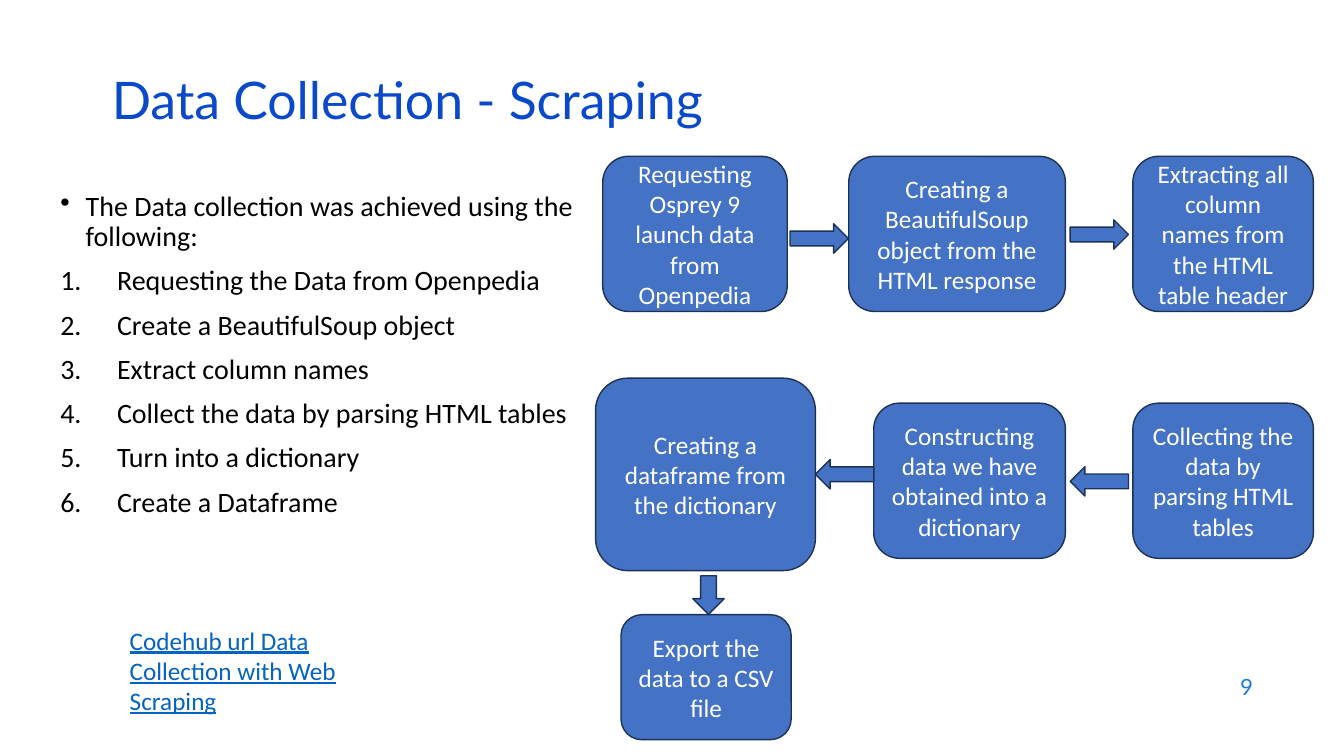
from lxml import etree
from pptx import Presentation, util as u
from pptx.dml.color import RGBColor
from pptx.enum import shapes, text
from pptx.oxml.ns import qn


def color(value):
    return RGBColor.from_string(value)


def write(tf, content, size=18, font="Calibri", fill="000000", align="LEFT",
          anchor="TOP", spacing=None, before=0, underline=None, bullets=()):
    tf.word_wrap = True
    tf.vertical_anchor = getattr(text.MSO_ANCHOR, anchor)
    for i, line in enumerate(content.split("\n")):
        p = tf.paragraphs[0] if i == 0 else tf.add_paragraph()
        if bullets:
            tag, attr, value, indent = bullets[min(i, len(bullets) - 1)]
            pPr = p._p.get_or_add_pPr()
            pPr.set("marL", str(u.Cm(indent)))
            pPr.set("indent", str(-u.Cm(indent)))
            etree.SubElement(pPr, qn(tag)).set(attr, value)
        p.alignment = getattr(text.PP_ALIGN, align)
        p.line_spacing = spacing
        p.space_before = u.Pt(before if i else 0)
        r = p.add_run()
        r.text = line
        r.font.size, r.font.name = u.Pt(size), font
        r.font.color.rgb = color(fill)
        r.font.underline = underline


class Deck:
    """Holds the flowchart style and the current slide."""

    fill, line, ink = "4472C4", "1E3256", "FFFFFF"

    def __init__(self, prs):
        self.s = prs.slides.add_slide(prs.slide_layouts[6])

    def label(self, content, x, y, w, h, **fmt):
        sp = self.s.shapes.add_textbox(u.Cm(x), u.Cm(y), u.Cm(w), u.Cm(h))
        write(sp.text_frame, content, **fmt)

    def shape(self, kind, x, y, w, h):
        sp = self.s.shapes.add_shape(kind, u.Cm(x), u.Cm(y), u.Cm(w), u.Cm(h))
        sp.shadow.inherit = False
        sp.fill.solid()
        sp.fill.fore_color.rgb = color(self.fill)
        sp.line.color.rgb = color(self.line)
        sp.line.width = u.Pt(1)
        return sp

    def step(self, content, x, y, w, h=3.91):
        sp = self.shape(shapes.MSO_SHAPE.ROUNDED_RECTANGLE, x, y, w, h)
        write(sp.text_frame, content, fill=self.ink, align="CENTER", anchor="MIDDLE")

    def arrow(self, x, y, turn=0, w=1.47, h=0.74):
        self.shape(shapes.MSO_SHAPE.RIGHT_ARROW, x, y, w, h).rotation = turn


def main():
    prs = Presentation()
    prs.slide_width, prs.slide_height = u.Cm(33.87), u.Cm(19.05)
    deck = Deck(prs)

    deck.label("9", 24.21, 16.74, 7.62, 1.12, size=16, font="Lato",
               fill="1C7DDB", align="RIGHT", anchor="MIDDLE")
    deck.label("Data Collection - Scraping", 2.57, 1.93, 29.21, 1.52, size=37,
               font="Lato", fill="0B49CB", anchor="MIDDLE", spacing=0.7)
    deck.label("The Data collection was achieved using the following:\n"
               "Requesting the Data from Openpedia\n"
               "Create a BeautifulSoup object\n"
               "Extract column names\n"
               "Collect the data by parsing HTML tables\n"
               "Turn into a dictionary\n"
               "Create a Dataframe",
               1.27, 4.72, 14.38, 10.21, size=20, spacing=0.9, before=10,
               bullets=[("a:buChar", "char", "•", 0.64),
                        ("a:buAutoNum", "type", "arabicPeriod", 1.43)])

    top, middle = 3.94, 10.16
    deck.step("Requesting Osprey 9 launch data from Openpedia", 15.19, top, 4.65)
    deck.step("Creating a BeautifulSoup object from the HTML response", 21.39, top, 5.46)
    deck.step("Extracting all column names from the HTML table header", 28.55, top, 4.55)
    deck.step("Collecting the data by parsing HTML tables", 28.55, middle, 4.55)
    deck.step("Constructing data we have obtained into a dictionary", 22.02, middle, 4.83)
    deck.step("Creating a dataframe from the dictionary", 15.01, 9.53, 5.54, 4.85)
    deck.step("Export the data to a CSV file", 15.65, 15.49, 4.29, 3.15)

    deck.arrow(19.91, 5.64)
    deck.arrow(26.97, 5.54)
    deck.arrow(26.97, 11.76, 180)
    deck.arrow(20.55, 11.58, 180)
    deck.arrow(17.37, 14.6, 90, 0.97, 0.79)

    deck.label("Codehub url Data Collection with Web Scraping",
               3.02, 15.62, 7.24, 1.8, fill="0563C1", underline=True)
    prs.save("out.pptx")


if __name__ == "__main__":
    main()
